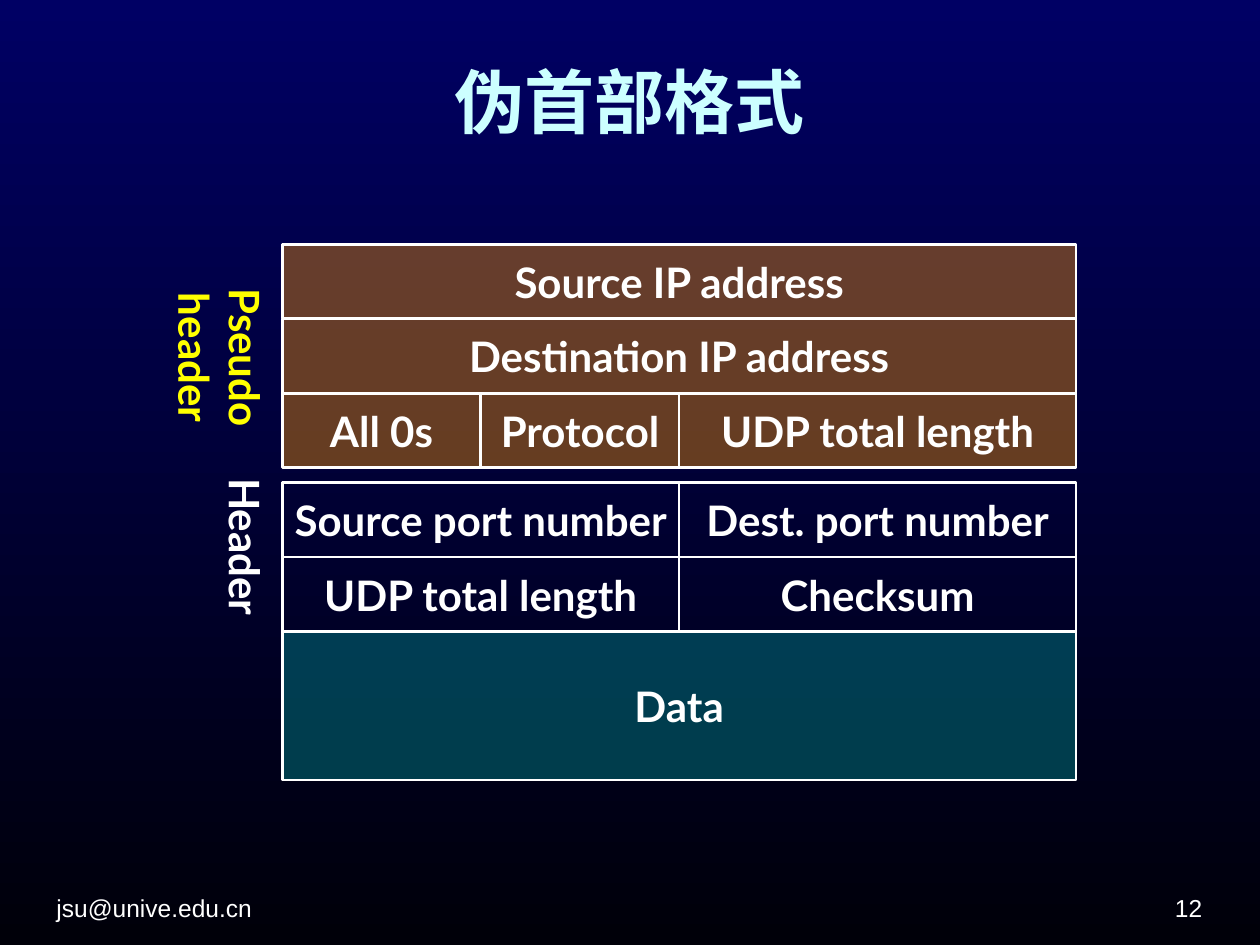
from lxml.etree import SubElement
from pptx import Presentation
from pptx.dml.color import RGBColor
from pptx.enum.shapes import MSO_SHAPE
from pptx.enum.text import MSO_ANCHOR, PP_ALIGN
from pptx.oxml.ns import qn
from pptx.util import Pt

WHITE = RGBColor(0xFF, 0xFF, 0xFF)
YELLOW = RGBColor(0xFF, 0xFF, 0x00)
PALE_CYAN = RGBColor(0xCC, 0xFF, 0xFF)
ORANGE = RGBColor(0xFF, 0x99, 0x00)
TEAL = RGBColor(0x00, 0x99, 0x99)
NAVY = RGBColor(0x00, 0x00, 0x64)
NIGHT = RGBColor(0x00, 0x00, 0x09)

LEFT = 161.3
UNIT = 113.4
ROW = 42.5
PSEUDO_TOP = 139.7
HEADER_TOP = 275.8

PSEUDO_ROWS = [
    [("Source IP address", 4)],
    [("Destination IP address", 4)],
    [("All 0s", 1), ("Protocol", 1), ("UDP total length", 2)],
]
HEADER_ROWS = [
    [("Source port number", 2), ("Dest. port number", 2)],
    [("UDP total length", 2), ("Checksum", 2)],
]


def write(tf, text, font="Lato", size=24, color=WHITE, bold=True,
          align=PP_ALIGN.CENTER, anchor=MSO_ANCHOR.MIDDLE, wrap=False):
    tf.word_wrap = wrap
    tf.vertical_anchor = anchor
    for i, line in enumerate(text.split("\n")):
        p = tf.add_paragraph() if i else tf.paragraphs[0]
        p.alignment = align
        r = p.add_run()
        r.text = line
        r.font.name = font
        r.font.size = Pt(size)
        r.font.bold = bold
        r.font.color.rgb = color


class Deck:
    line_width = 1.5
    opacity = 40

    def __init__(self, width, height):
        self.prs = Presentation()
        self.prs.slide_width = Pt(width)
        self.prs.slide_height = Pt(height)
        self.s = self.prs.slides.add_slide(self.prs.slide_layouts[6])

    def background(self, top, bottom):
        fill = self.s.background.fill
        fill.gradient()
        fill.gradient_angle = 270
        for stop, color in zip(fill.gradient_stops, (top, bottom)):
            stop.color.rgb = color

    def text(self, text, x, y, w, h, **fmt):
        sp = self.s.shapes.add_textbox(Pt(x), Pt(y), Pt(w), Pt(h))
        write(sp.text_frame, text, **fmt)
        return sp

    def vertical_text(self, text, x, y, w, h, **fmt):
        tf = self.text(text, x, y, w, h, **fmt).text_frame
        tf.margin_left = tf.margin_right = Pt(3.6)
        tf.margin_top = tf.margin_bottom = Pt(7.2)
        tf._txBody.bodyPr.set("vert", "eaVert")

    def field(self, text, x, y, w, h, color=None):
        sp = self.s.shapes.add_shape(MSO_SHAPE.RECTANGLE, Pt(x), Pt(y), Pt(w), Pt(h))
        sp.shadow.inherit = False
        sp.line.color.rgb = WHITE
        sp.line.width = Pt(self.line_width)
        if color is None:
            sp.fill.background()
        else:
            sp.fill.solid()
            sp.fill.fore_color.rgb = color
            clr = sp._element.spPr.find(qn("a:solidFill"))[0]
            SubElement(clr, qn("a:alpha"), val=str(self.opacity * 1000))
        write(sp.text_frame, text)

    def rows(self, rows, top, color=None):
        for i, row in enumerate(rows):
            x = LEFT
            for text, span in row:
                self.field(text, x, top + i * ROW, span * UNIT, ROW, color)
                x += span * UNIT


def main():
    deck = Deck(720, 540)
    deck.background(NAVY, NIGHT)
    footer = dict(font="Arial", size=14, bold=False, anchor=MSO_ANCHOR.BOTTOM, wrap=True)
    deck.text("jsu@unive.edu.cn", 25.2, 496.8, 167.8, 33.8, align=PP_ALIGN.LEFT, **footer)
    deck.text("12", 526.3, 496.8, 167.8, 33.8, align=PP_ALIGN.RIGHT, **footer)
    deck.text("伪首部格式", 25.2, 9.4, 668.9, 96.5, font="Cabin", size=40,
              color=PALE_CYAN, wrap=True)
    deck.rows(PSEUDO_ROWS, PSEUDO_TOP, ORANGE)
    deck.rows(HEADER_ROWS, HEADER_TOP)
    data_top = HEADER_TOP + len(HEADER_ROWS) * ROW
    deck.field("Data", LEFT, data_top, 4 * UNIT, 2 * ROW, TEAL)
    deck.vertical_text("Pseudo\nheader", 90, 157.7, 72, 94.3, color=YELLOW)
    deck.vertical_text("Header", 118.8, 266, 43.2, 100.8)
    deck.prs.save("out.pptx")


if __name__ == "__main__":
    main()
